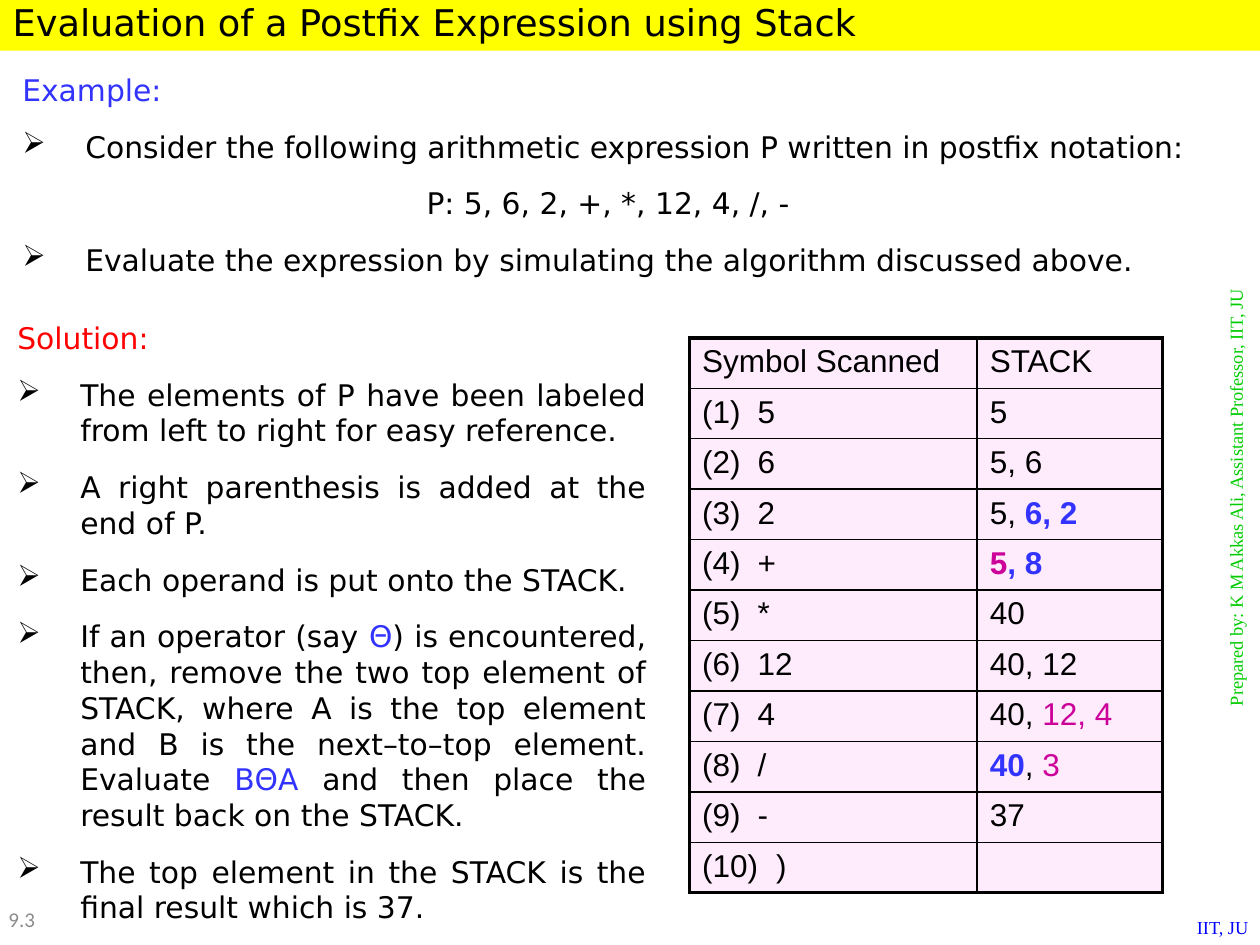
from dataclasses import dataclass

from lxml import etree
from pptx import Presentation
from pptx import util as u
from pptx.dml import color as c
from pptx.enum import text as t
from pptx.oxml import ns


@dataclass(frozen=True)
class Theme:
    body_font: str = "DejaVu Sans"
    table_font: str = "Arial"
    footer_font: str = "Times New Roman"
    number_font: str = "Calibri"
    title_size: float = 21
    body_size: float = 17
    table_size: float = 18
    footer_size: float = 10.5
    number_size: float = 12
    black: str = "000000"
    blue: str = "3333FF"
    red: str = "FF0000"
    magenta: str = "CC0099"
    yellow: str = "FFFF00"
    pink: str = "FEECFC"
    green: str = "00CC00"
    footer_blue: str = "0000FF"
    gray: str = "8C8C8C"
    thin: float = 1
    thick: float = 2.25


THEME = Theme()
CENTER, JUSTIFY = t.PP_ALIGN.CENTER, t.PP_ALIGN.JUSTIFY

EXAMPLE = [
    ("Consider the following arithmetic expression P written in postfix notation:", True),
    ("P: 5, 6, 2, +, *, 12, 4, /, -", False),
    ("Evaluate the expression by simulating the algorithm discussed above.", True),
]
SOLUTION = [
    ("The elements of P have been labeled from left to right for easy reference.", True),
    ("A right parenthesis is added at the end of P.", True),
    ("Each operand is put onto the STACK.", True),
    ([
        ("If an operator (say ", {}),
        ("Θ", {"color": THEME.blue}),
        (") is encountered, then, remove the two top element of STACK, where A is the "
         "top element and B is the next–to–top element. Evaluate ", {}),
        ("BΘA", {"color": THEME.blue}),
        (" and then place the result back on the STACK.", {}),
    ], True),
    ("The top element in the STACK is the final result which is 37.", True),
]
BLUE_BOLD = {"color": THEME.blue, "bold": True}
MAGENTA = {"color": THEME.magenta}
STEPS = [
    ("5", "5"),
    ("6", "5, 6"),
    ("2", [("5, ", {}), ("6, 2", BLUE_BOLD)]),
    ("+", [("5", {**MAGENTA, "bold": True}), (", 8", BLUE_BOLD)]),
    ("*", "40"),
    ("12", "40, 12"),
    ("4", [("40, ", {}), ("12, 4", MAGENTA)]),
    ("/", [("40", BLUE_BOLD), (", ", {}), ("3", MAGENTA)]),
    ("-", "37"),
    (")", ""),
]


def add_span(para, text, *, font=THEME.body_font, size=THEME.body_size,
             color=THEME.black, bold=False):
    span = para.add_run()
    span.text = text
    span.font.name = font
    span.font.size = u.Pt(size)
    span.font.bold = bold
    span.font.color.rgb = c.RGBColor.from_string(color)


def add_spans(para, content, **style):
    spans = [(content, {})] if isinstance(content, str) else content
    for text, changes in spans:
        if text:
            add_span(para, text, **{**style, **changes})


def add_child(parent, tag, **attributes):
    return etree.SubElement(parent, ns.qn(tag), attributes)


def add_box(page, left, top, width, height):
    box = page.shapes.add_textbox(u.Cm(left), u.Cm(top), u.Cm(width), u.Cm(height))
    box.text_frame.word_wrap = True
    return box.text_frame


def add_label(page, text, place, *, align=None, **style):
    frame = add_box(page, *place)
    frame.paragraphs[0].alignment = align
    add_span(frame.paragraphs[0], text, **style)
    return frame


def add_title(page, text):
    title = page.shapes.title
    title.left, title.top = u.Cm(0), u.Cm(-0.13)
    title.width, title.height = u.Cm(25.4), u.Cm(1.15)
    title.fill.solid()
    title.fill.fore_color.rgb = c.RGBColor.from_string(THEME.yellow)
    frame = title.text_frame
    frame.auto_size = t.MSO_AUTO_SIZE.NONE
    frame.vertical_anchor = t.MSO_ANCHOR.TOP
    para = frame.paragraphs[0]
    para.alignment = t.PP_ALIGN.LEFT
    add_span(para, text, size=THEME.title_size)


def format_item(para, bulleted, align):
    indent = u.Cm(1.27)
    properties = para._p.get_or_add_pPr()
    properties.set("marL", str(indent))
    properties.set("indent", str(-indent))
    if bulleted:
        add_child(properties, "a:buChar", char="➢")
    para.alignment = align
    para.space_after = u.Pt(6)


def add_section(page, heading, color, items, place):
    frame = add_box(page, *place)
    first = frame.paragraphs[0]
    format_item(first, False, JUSTIFY)
    add_span(first, heading, color=color)
    for content, bulleted in items:
        para = frame.add_paragraph()
        format_item(para, bulleted, JUSTIFY if bulleted else CENTER)
        para.space_before = u.Pt(6)
        add_spans(para, content)


def add_borders(cell, widths):
    properties = cell._tc.get_or_add_tcPr()
    for side, width in zip("LRTB", widths):
        line = add_child(properties, f"a:ln{side}", w=str(u.Pt(width)))
        add_child(add_child(line, "a:solidFill"), "a:srgbClr", val=THEME.black)


def add_tab_stops(para, *positions):
    stops = add_child(para._p.get_or_add_pPr(), "a:tabLst")
    for position in positions:
        add_child(stops, "a:tab", pos=str(u.Cm(position)), algn="l")


def add_stack_table(page):
    rows = [("Symbol Scanned", "STACK")]
    rows += [(f"({number})\t{symbol}", stack)
             for number, (symbol, stack) in enumerate(STEPS, 1)]
    column_widths = (5.8, 3.73)
    table = page.shapes.add_table(
        len(rows), len(column_widths), u.Cm(13.9), u.Cm(6.81),
        u.Cm(sum(column_widths)), u.Cm(11.18)).table
    for column, width in zip(table.columns, column_widths):
        column.width = u.Cm(width)
    last_row, last_column = len(rows) - 1, len(column_widths) - 1
    for r, row in enumerate(rows):
        for col, content in enumerate(row):
            cell = table.cell(r, col)
            outer = (col == 0, col == last_column, r == 0, r == last_row)
            add_borders(cell, [THEME.thick if edge else THEME.thin for edge in outer])
            cell.fill.solid()
            cell.fill.fore_color.rgb = c.RGBColor.from_string(THEME.pink)
            para = cell.text_frame.paragraphs[0]
            if r and col == 0:
                add_tab_stops(para, 1.12, 1.49)
            add_spans(para, content, font=THEME.table_font, size=THEME.table_size)


def add_footers(page):
    style = {"font": THEME.footer_font, "size": THEME.footer_size}
    add_label(page, "IIT, JU", (23.88, 18.34, 2.34, 0.74),
              color=THEME.footer_blue, **style)
    credit = add_label(page, "Prepared by: K M Akkas Ali, Assistant Professor, IIT, JU",
                       (24.56, 1.24, 0.97, 17.58), align=CENTER,
                       color=THEME.green, **style)
    credit._txBody.bodyPr.set("vert", "vert270")
    number = add_label(page, "9.3", (-0.08, 18.01, 2.08, 1.04), color=THEME.gray,
                       font=THEME.number_font, size=THEME.number_size)
    number.vertical_anchor = t.MSO_ANCHOR.MIDDLE


def main():
    deck = Presentation()
    deck.slide_width, deck.slide_height = u.Cm(25.4), u.Cm(19.05)
    page = deck.slides.add_slide(deck.slide_layouts[5])
    add_title(page, "Evaluation of a Postfix Expression using Stack")
    add_section(page, "Example:", THEME.blue, EXAMPLE, (0.2, 1.32, 24.13, 4.45))
    add_section(page, "Solution:", THEME.red, SOLUTION, (0.1, 6.32, 13.18, 12.57))
    add_stack_table(page)
    add_footers(page)
    deck.save("out.pptx")


if __name__ == "__main__":
    main()
